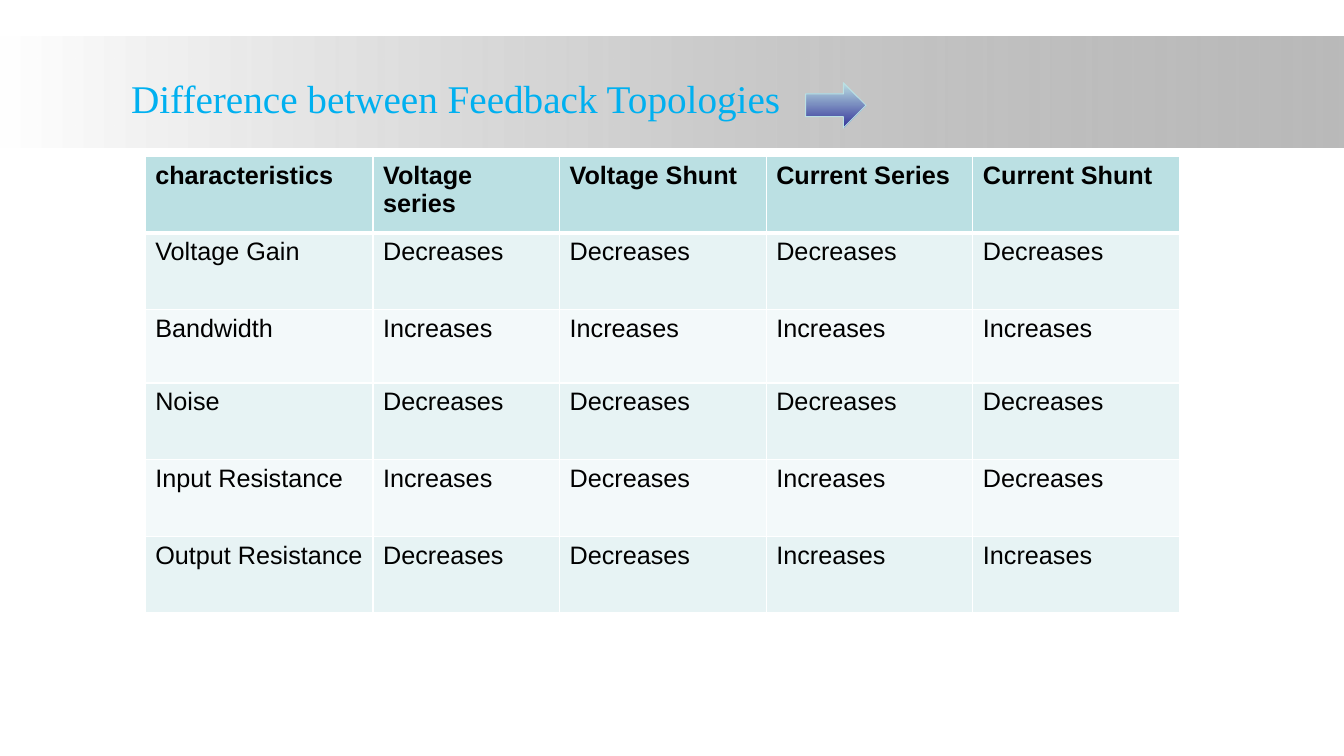
from dataclasses import dataclass

from lxml import etree
from pptx import Presentation
from pptx.dml.color import RGBColor
from pptx.enum import shapes, text
from pptx.oxml.ns import qn
from pptx.util import Inches, Pt

TITLE = "Difference between Feedback Topologies"
ROWS = [
    ("characteristics", "Voltage series", "Voltage Shunt", "Current Series", "Current Shunt"),
    ("Voltage Gain", "Decreases", "Decreases", "Decreases", "Decreases"),
    ("Bandwidth", "Increases", "Increases", "Increases", "Increases"),
    ("Noise", "Decreases", "Decreases", "Decreases", "Decreases"),
    ("Input Resistance", "Increases", "Decreases", "Increases", "Decreases"),
    ("Output Resistance", "Decreases", "Decreases", "Increases", "Increases"),
]
COLUMN_WIDTHS = [2.26, 1.85, 2.05, 2.05, 2.05]
ROW_HEIGHTS = [0.76, 0.76, 0.73, 0.76, 0.76, 0.76]


@dataclass(frozen=True)
class Theme:
    title_font: str = "Times New Roman"
    body_font: str = "Arial"
    title_size: int = 28
    body_size: int = 18
    title: str = "00B0F0"
    ink: str = "000000"
    white: str = "FFFFFF"
    band_end: str = "808080"
    accent: str = "BBE0E3"
    arrow_end: str = "333399"
    stripes: tuple = ("F3F9FA", "E7F3F4")
    rule: int = 1
    header_rule: int = 3


THEME = Theme()


def rgb(code):
    return RGBColor.from_string(code)


def add_span(para, words, font, size, color, bold=False):
    span = para.add_run()
    span.text = words
    span.font.name = font
    span.font.size = Pt(size)
    span.font.bold = bold
    span.font.color.rgb = rgb(color)


def add_gradient_shape(slide, kind, box, colors, angle):
    """Add a shape with a two-colour gradient; angle runs counter-clockwise."""
    shape = slide.shapes.add_shape(kind, *map(Inches, box))
    shape.shadow.inherit = False
    shape.fill.gradient()
    shape.fill.gradient_angle = angle
    for stop, position, color in zip(shape.fill.gradient_stops, (0, 1), colors):
        stop.position = position
        stop.color.rgb = rgb(color)
    return shape


def add_band(slide):
    band = add_gradient_shape(slide, shapes.MSO_SHAPE.RECTANGLE, (0, 0.36, 13.33, 1.1),
                              (THEME.white, THEME.band_end), 0)
    band.line.fill.background()
    end_color = band._element.findall(".//" + qn("a:srgbClr"))[-1]
    etree.SubElement(end_color, qn("a:alpha"), val="54000")
    slide.shapes._spTree.insert(2, band._element)  # behind the title


def add_title(slide):
    title = slide.shapes.title
    title.left, title.top, title.width, title.height = map(Inches, (1.2, 0.69, 7.83, 0.57))
    frame = title.text_frame
    frame.word_wrap = True
    frame.auto_size = text.MSO_AUTO_SIZE.SHAPE_TO_FIT_TEXT
    frame.vertical_anchor = text.MSO_ANCHOR.TOP
    para = frame.paragraphs[0]
    para.alignment = text.PP_ALIGN.LEFT
    add_span(para, TITLE, THEME.title_font, THEME.title_size, THEME.title)


def add_arrow(slide):
    arrow = add_gradient_shape(slide, shapes.MSO_SHAPE.RIGHT_ARROW, (7.99, 0.82, 0.6, 0.45),
                               (THEME.accent, THEME.arrow_end), 270)
    arrow.line.color.rgb = rgb(THEME.accent)
    arrow.line.width = Pt(0.75)


def set_borders(cell, top, bottom):
    """Draw white borders; side borders use the thin rule."""
    props = cell._tc.get_or_add_tcPr()
    edges = (("L", THEME.rule), ("R", THEME.rule), ("T", top), ("B", bottom))
    for place, (side, width) in enumerate(edges):
        line = etree.Element(qn("a:ln" + side), w=str(Pt(width)))
        fill = etree.SubElement(line, qn("a:solidFill"))
        etree.SubElement(fill, qn("a:srgbClr"), val=THEME.white)
        props.insert(place, line)


def add_comparison(slide):
    box = (1.44, 1.55, sum(COLUMN_WIDTHS), sum(ROW_HEIGHTS))
    table = slide.shapes.add_table(len(ROWS), len(COLUMN_WIDTHS), *map(Inches, box)).table
    for column, width in zip(table.columns, COLUMN_WIDTHS):
        column.width = Inches(width)
    for row, height in zip(table.rows, ROW_HEIGHTS):
        row.height = Inches(height)
    for r, words_in_row in enumerate(ROWS):
        header = r == 0
        for c, words in enumerate(words_in_row):
            cell = table.cell(r, c)
            cell.fill.solid()
            cell.fill.fore_color.rgb = rgb(THEME.accent if header else THEME.stripes[r % 2])
            set_borders(cell, THEME.header_rule if r == 1 else THEME.rule,
                        THEME.header_rule if header else THEME.rule)
            add_span(cell.text_frame.paragraphs[0], words, THEME.body_font,
                     THEME.body_size, THEME.ink, bold=header)


def main():
    deck = Presentation()
    deck.slide_width, deck.slide_height = Inches(13.33), Inches(7.5)
    slide = deck.slides.add_slide(deck.slide_layouts[5])
    add_band(slide)
    add_title(slide)
    add_arrow(slide)
    add_comparison(slide)
    deck.save("out.pptx")


if __name__ == "__main__":
    main()
